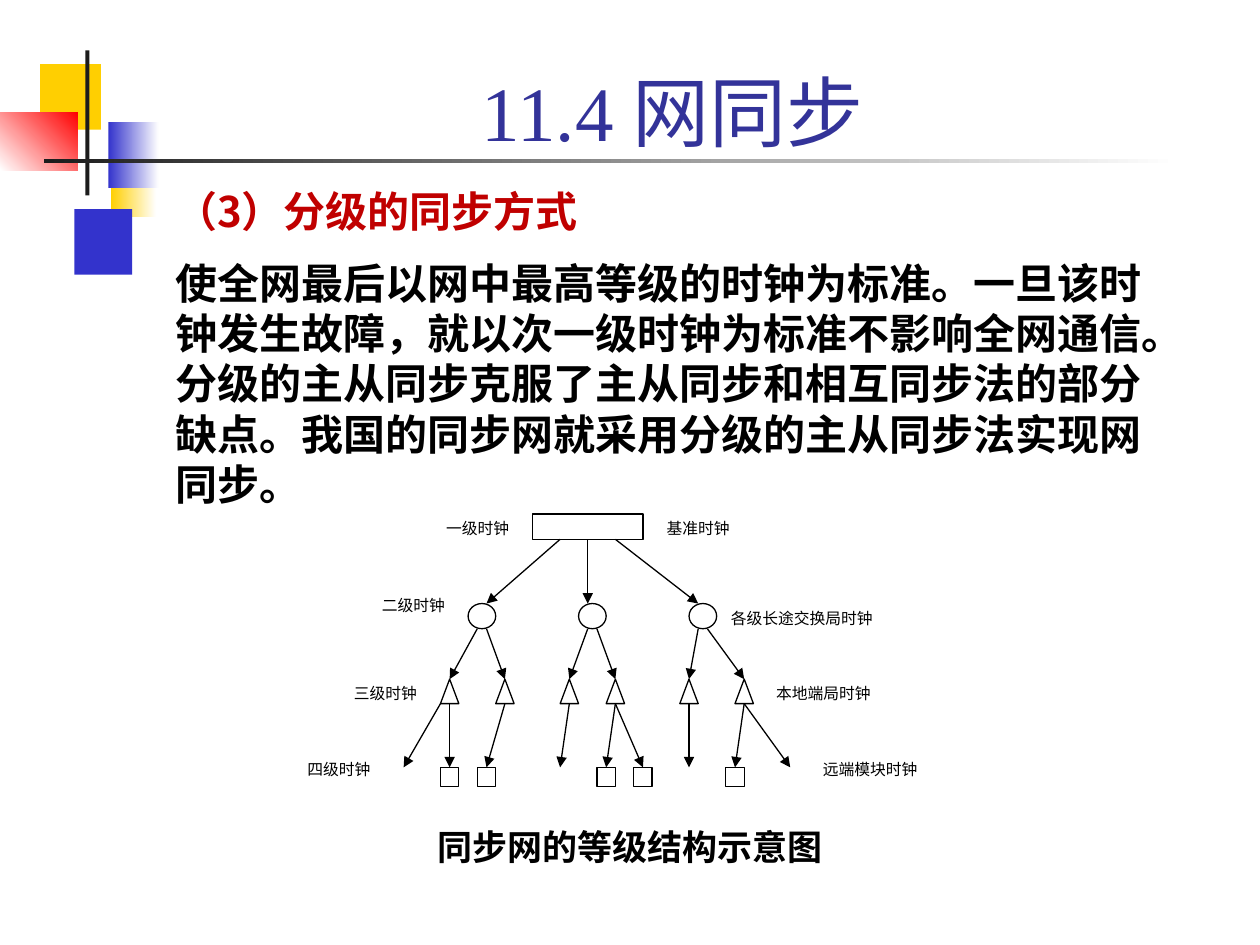
from lxml.etree import SubElement
from pptx import Presentation
from pptx.dml.color import RGBColor
from pptx.enum.shapes import MSO_CONNECTOR, MSO_SHAPE
from pptx.enum.text import MSO_ANCHOR, MSO_AUTO_SIZE, PP_ALIGN
from pptx.oxml.ns import qn
from pptx.util import Pt

# Content
TITLE = "11.4 网同步"
BODY = [
    ("（3）分级的同步方式", "heading"),
    ("使全网最后以网中最高等级的时钟为标准。一旦该时钟发生故障，就以次一级时钟为标准"
     "不影响全网通信。分级的主从同步克服了主从同步和相互同步法的部分缺点。"
     "我国的同步网就采用分级的主从同步法实现网同步。", "black"),
]
CAPTION = "同步网的等级结构示意图"
LABELS = [  # text, left, top, width
    ("一级时钟", 252, 293.8, 42), ("基准时钟", 378, 293.8, 42),
    ("二级时钟", 215.3, 337.7, 42), ("各级长途交换局时钟", 414.7, 344.9, 87),
    ("三级时钟", 199.4, 388.1, 42), ("本地端局时钟", 440.6, 388.1, 60),
    ("四级时钟", 172.8, 431.3, 42), ("远端模块时钟", 467.3, 431.3, 60),
]

COLORS = {"title": "333399", "heading": "C00000", "black": "000000", "white": "FFFFFF",
          "yellow": "FFCF01", "blue": "3333CC", "red": "FF0000", "dark": "1C1C1C"}
LATIN, CJK = "Times New Roman", "Noto Sans CJK SC"

DECOR = [  # left, top, width, height, colours, gradient angle
    (63.4, 86.4, 25.9, 37.4, ("yellow", "white"), 0),
    (42.5, 119.5, 33.1, 37.4, ("blue",), 0),
    (23, 36.7, 34.6, 37.4, ("yellow",), 0),
    (61.9, 69.8, 28.8, 37.4, ("blue", "white"), 0),
    (0, 64.1, 44.6, 33.1, ("white", "red"), 45),
    (48.8, 28.8, 2.3, 82.8, ("dark",), 0),
    (25.2, 90.7, 648, 2.3, ("dark", "white"), 0),
]

# Clock tree: horizontal places are counted in grid units from its left edge
LEFT, UNIT = 172.8, 5.26
LEVELS = [  # shape, top, height, width in units, centres in units
    (MSO_SHAPE.RECTANGLE, 293.8, 14.4, 12, [31]),
    (MSO_SHAPE.OVAL, 344.9, 14.4, 3, [19.5, 31.5, 43.5]),
    (MSO_SHAPE.ISOSCELES_TRIANGLE, 388.1, 14, 2, [16, 22, 29, 34, 42, 48]),
    (MSO_SHAPE.RECTANGLE, 438.5, 10.8, 2, [16, 20, 33, 37, 47]),
]
ARROWS = [  # (from, to) in units, between each level and the next
    [(28, 20), (31, 31), (34, 43)],
    [(19, 16), (20, 22), (31, 29), (32, 34), (43, 42), (44, 48)],
    [(15, 11), (16, 16), (22, 20), (29, 28), (34, 33), (34, 37), (42, 42), (48, 47), (48, 53)],
]


def rgb(name):
    return RGBColor.from_string(COLORS[name])


def place(sp, *box):
    for name, value in zip(("left", "top", "width", "height"), box):
        setattr(sp, name, Pt(value))


def write(p, text, color, latin=LATIN, **font):
    r = p.add_run()
    r.text = text
    for name, value in {"name": latin, **font}.items():
        setattr(r.font, name, value)
    r.font.color.rgb = rgb(color)
    SubElement(r._r.get_or_add_rPr(), qn("a:ea")).set("typeface", CJK)


def add_shape(kind, box, colors, angle=0, outline=False):
    sp = slide.shapes.add_shape(kind, *map(Pt, box))
    sp.shadow.inherit = False
    if len(colors) == 1:
        sp.fill.solid()
        sp.fill.fore_color.rgb = rgb(colors[0])
    else:
        sp.fill.gradient()
        sp.fill.gradient_angle = angle
        for stop, color, pos in zip(sp.fill.gradient_stops, colors, (0, 1)):
            stop.color.rgb, stop.position = rgb(color), pos
    if outline:
        sp.line.color.rgb, sp.line.width = rgb("black"), Pt(0.75)
    else:
        sp.line.fill.background()


def add_arrow(x1, y1, x2, y2):
    c = slide.shapes.add_connector(MSO_CONNECTOR.STRAIGHT, *map(Pt, (x1, y1, x2, y2)))
    c.line.color.rgb, c.line.width = rgb("black"), Pt(0.75)
    SubElement(c.line._get_or_add_ln(), qn("a:tailEnd")).set("type", "triangle")
    SubElement(c._element.spPr, qn("a:effectLst"))


def add_text(text, box, align, wrap, inset, **font):
    tf = slide.shapes.add_textbox(*map(Pt, box)).text_frame
    for name, value in {"word_wrap": wrap, "vertical_anchor": MSO_ANCHOR.MIDDLE,
                        "margin_left": inset, "margin_right": inset}.items():
        setattr(tf, name, value)
    p = tf.paragraphs[0]
    p.alignment = align
    write(p, text, "black", **font)


prs = Presentation()
prs.slide_width, prs.slide_height = Pt(720), Pt(540)
slide = prs.slides.add_slide(prs.slide_layouts[1])

# Corner blocks and rules
for *box, colors, angle in DECOR:
    add_shape(MSO_SHAPE.RECTANGLE, box, colors, angle)

# Title
title, body = slide.placeholders
place(title, 54, 21.4, 661, 72)
tf = title.text_frame
tf.auto_size, tf.vertical_anchor = MSO_AUTO_SIZE.NONE, MSO_ANCHOR.BOTTOM
tf.paragraphs[0].alignment = PP_ALIGN.CENTER
write(tf.paragraphs[0], TITLE, "title", size=Pt(44))

# Body text
place(body, 92.9, 102.5, 583.2, 195)
tf = body.text_frame
tf.auto_size = MSO_AUTO_SIZE.NONE
for i, (text, color) in enumerate(BODY):
    p = tf.add_paragraph() if i else tf.paragraphs[0]
    p.line_spacing, p.space_before = Pt(28.8), Pt(12 * i)
    pPr = p._p.get_or_add_pPr()
    pPr.set("marL", "0")
    pPr.set("indent", "0")
    SubElement(pPr, qn("a:buNone"))
    write(p, text, color, CJK, size=Pt(24), bold=True)

# Clock tree
for kind, top, height, width, centres in LEVELS:
    for x in centres:
        add_shape(kind, (LEFT + (x - width / 2) * UNIT, top, width * UNIT, height),
                  ("white",), outline=True)
for upper, lower, pairs in zip(LEVELS, LEVELS[1:], ARROWS):
    for x1, x2 in pairs:
        add_arrow(LEFT + x1 * UNIT, upper[1] + upper[2], LEFT + x2 * UNIT, lower[1])

# Level labels and caption
for text, left, top, width in LABELS:
    add_text(text, (left, top, width, 16.5), PP_ALIGN.LEFT, False, Pt(2.9), size=Pt(9))
add_text(CAPTION, (200.2, 468, 319.7, 31.7), PP_ALIGN.CENTER, True, Pt(7.2),
         size=Pt(20), bold=True)

prs.save("out.pptx")
